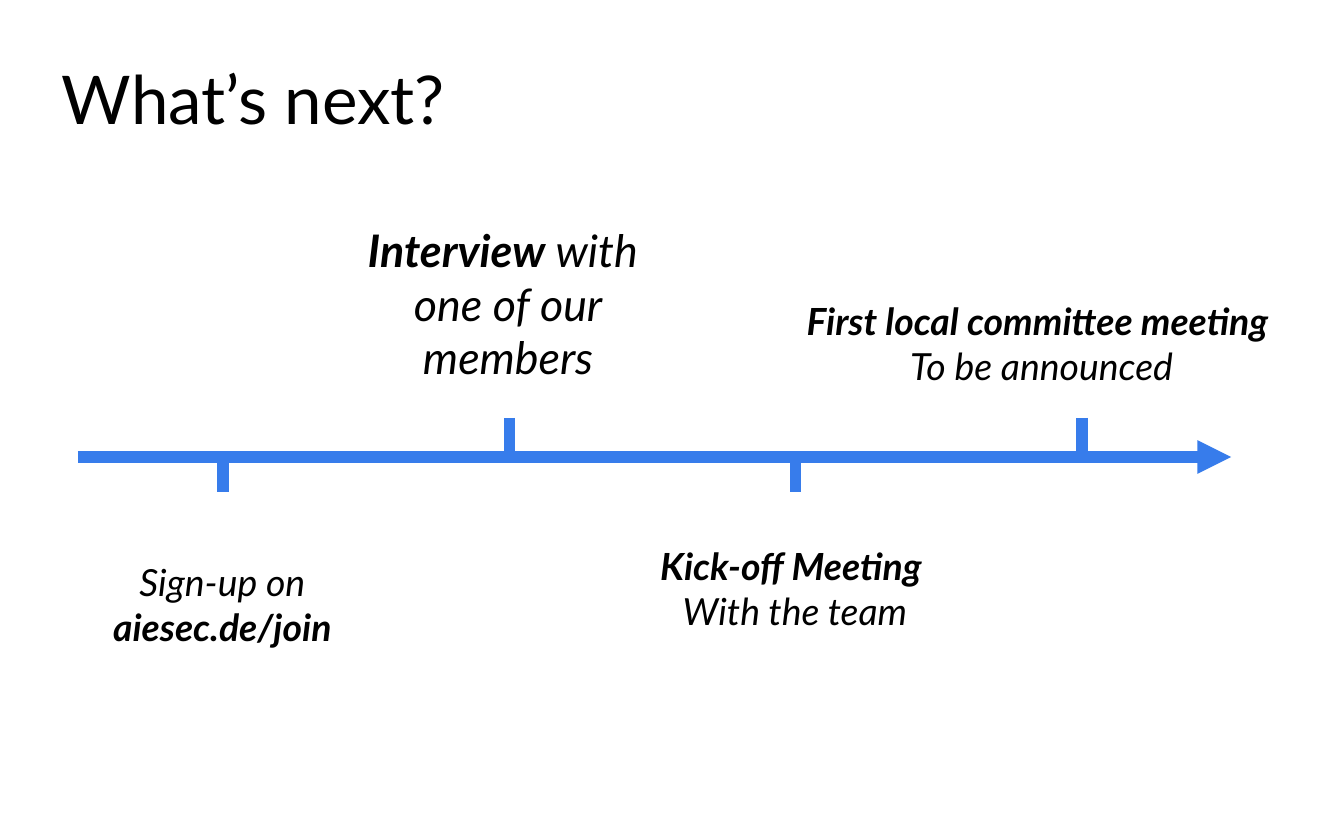
"""Build a timeline slide showing the next steps for new members."""
from lxml.etree import SubElement
from pptx import Presentation
from pptx.dml.color import RGBColor
from pptx.enum.shapes import MSO_CONNECTOR as Connector
from pptx.enum.text import MSO_ANCHOR as Anchor, PP_ALIGN as Align
from pptx.oxml.ns import qn
from pptx.util import Inches, Pt

BLACK = RGBColor(0x00, 0x00, 0x00)
BLUE = RGBColor(0x37, 0x7C, 0xEB)

deck = Presentation()
deck.slide_width, deck.slide_height = Inches(10), Inches(6.25)
slide = deck.slides.add_slide(deck.slide_layouts[6])
COL, ROW = deck.slide_width / 100, deck.slide_height / 100


def add_text(place, paragraphs, size, align, italic, insets):
    left, top, width, height = place
    box = slide.shapes.add_textbox(
        round(left * COL), round(top * ROW), round(width * COL), round(height * ROW))
    frame = box.text_frame
    side, edge = map(Inches, insets)
    layout = {"word_wrap": True, "vertical_anchor": Anchor.MIDDLE,
              "margin_left": side, "margin_right": side,
              "margin_top": edge, "margin_bottom": edge}
    for key, value in layout.items():
        setattr(frame, key, value)
    for index, pieces in enumerate(paragraphs):
        paragraph = frame.add_paragraph() if index else frame.paragraphs[0]
        paragraph.alignment = align
        for words, bold in pieces:
            run = paragraph.add_run()
            run.text = words
            style = {"name": "Lato", "size": Pt(size), "bold": bold, "italic": italic}
            for key, value in style.items():
                setattr(run.font, key, value)
            run.font.color.rgb = BLACK


def add_line(x1, y1, x2, y2):
    stroke = slide.shapes.add_connector(
        Connector.STRAIGHT, round(x1 * COL), round(y1 * ROW), round(x2 * COL), round(y2 * ROW))
    stroke.line.color.rgb = BLUE
    stroke.line.width = Pt(6)
    SubElement(stroke._element.spPr, qn("a:effectLst"))
    return stroke


add_text((3.7, 6.08, 62.2, 11.2), [[("What’s next?", False)]],
         36, Align.LEFT, False, (0.09, 0.04))

AXIS = 54.4
timeline = add_line(5.8, AXIS, 91.6, AXIS)
SubElement(timeline.line._get_or_add_ln(), qn("a:tailEnd"), type="triangle")

FIRST_STEP, STEP_GAP, TICK, OVERLAP = 16.6, 21.3, 4.64, 0.48
steps = [
    ((5.2, 61.28, 22.7, 21.28), 20,
     [[("Sign-up on ", False), ("aiesec.de/join", True)]]),
    ((25.9, 26.08, 23.8, 20), 24,
     [[("Interview", True), (" with ", False)], [("one of our", False)], [("members", False)]]),
    ((44.2, 60, 29.9, 20), 20,
     [[("Kick-off Meeting ", True)], [("With the team", False)]]),
    ((57.3, 33.92, 39.8, 13.76), 20,
     [[("First local committee meeting", True)], [(" ", True), ("To be announced", False)]]),
]
for number, (place, size, label) in enumerate(steps):
    x = FIRST_STEP + number * STEP_GAP
    tick_top = AXIS - TICK if number % 2 else AXIS - OVERLAP
    add_line(x, tick_top, x, tick_top + TICK)
    add_text(place, label, size, Align.CENTER, True, (0.1, 0.1))

deck.save("out.pptx")
